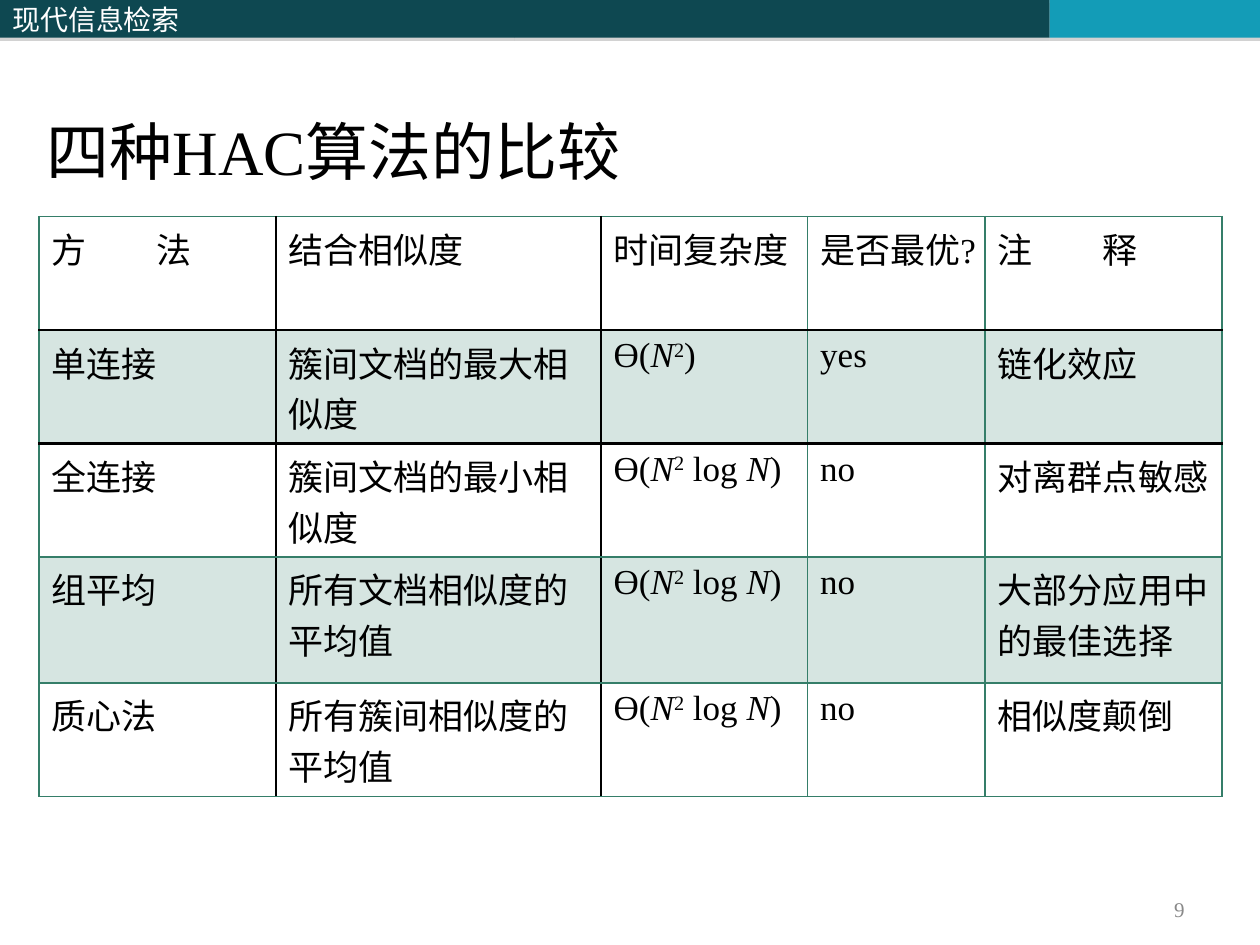
from lxml import etree
from pptx import Presentation
from pptx.dml.color import RGBColor
from pptx.enum import shapes, text
from pptx.oxml import ns
from pptx.util import Inches, Pt

SERIF, SANS = "Times New Roman", "Noto Sans CJK SC"
BLACK, GREEN, TEAL, AQUA = "000000", "357E69", "0E4851", "139CB7"

TITLE = "四种HAC算法的比较"
BARS = [(4.08, TEAL, "现代信息检索"), (4.25, TEAL, ""), (1.67, AQUA, "")]
SQUARE = [("Ɵ(", ""), ("N", "italic"), ("2", "super")]
QUADRATIC = SQUARE + [(")", "")]
QUADRATIC_LOG = SQUARE + [(" log ", ""), ("N", "italic"), (")", "")]
ROWS = [
    ["方　　法", "结合相似度", "时间复杂度", "是否最优?", "注　　释"],
    ["单连接", "簇间文档的最大相似度", QUADRATIC, "yes", "链化效应"],
    ["全连接", "簇间文档的最小相似度", QUADRATIC_LOG, "no", "对离群点敏感"],
    ["组平均", "所有文档相似度的平均值", QUADRATIC_LOG, "no", "大部分应用中的最佳选择"],
    ["质心法", "所有簇间相似度的平均值", QUADRATIC_LOG, "no", "相似度颠倒"],
]
WIDTHS = [1.88, 2.58, 1.64, 1.41, 1.88]
HEIGHTS = [0.9, 0.9, 0.9, 1, 0.9]
DARK_COLUMN_EDGES = DARK_ROW_EDGES = (1, 2)


def color(value):
    return RGBColor.from_string(value)


def add(parent, tag, **attributes):
    return etree.SubElement(parent, ns.qn("a:" + tag), attributes)


def style(para, size, ink, face=SERIF, align=text.PP_ALIGN.LEFT):
    para.alignment = align
    para.font.size = Pt(size)
    para.font.name = face
    para.font.color.rgb = color(ink)


def add_bar(slide, left, width, fill, label):
    bar = slide.shapes.add_shape(shapes.MSO_SHAPE.RECTANGLE, Inches(left), 0,
                                 Inches(width), Inches(0.3))
    bar.fill.solid()
    bar.fill.fore_color.rgb = color(fill)
    bar.line.fill.background()
    bar.shadow.inherit = False
    effects = bar._element.spPr.find(ns.qn("a:effectLst"))
    shadow = add(effects, "outerShdw", dist=str(Pt(1.8)), dir="5400000", rotWithShape="0")
    add(add(shadow, "srgbClr", val="808080"), "alpha", val="35000")
    if label:
        bar.text_frame.text = label
        style(bar.text_frame.paragraphs[0], 16, "FFFFFF", SANS)


def set_borders(cell, row, column):
    edges = [("lnL", column in DARK_COLUMN_EDGES), ("lnR", column + 1 in DARK_COLUMN_EDGES),
             ("lnT", row in DARK_ROW_EDGES), ("lnB", row + 1 in DARK_ROW_EDGES)]
    for tag, dark in edges:
        line = add(cell._tc.get_or_add_tcPr(), tag, w=str(Pt(1.5 if dark else 1)))
        add(add(line, "solidFill"), "srgbClr", val=BLACK if dark else GREEN)


def fill_cell(cell, content, row, column):
    para = cell.text_frame.paragraphs[0]
    style(para, 20, BLACK)
    for words, kind in [(content, "")] if isinstance(content, str) else content:
        span = para.add_run()
        span.text = words
        span.font.size = Pt(20)
        span.font.name = SERIF
        span.font.color.rgb = color(BLACK)
        if kind == "italic":
            span.font.italic = True
        elif kind == "super":
            span.font._element.set("baseline", "30000")
    set_borders(cell, row, column)
    if row % 2:
        cell.fill.solid()
        cell.fill.fore_color.rgb = color(GREEN)
        tint = cell._tc.tcPr.find(ns.qn("a:solidFill"))[0]
        add(tint, "alpha", val="20000")
    else:
        cell.fill.background()


def add_comparison(slide):
    frame = slide.shapes.add_table(len(ROWS), len(WIDTHS), Inches(0.31), Inches(1.72),
                                   Inches(sum(WIDTHS)), Inches(sum(HEIGHTS)))
    table = frame.table
    table.first_row = table.horz_banding = False
    for column, width in zip(table.columns, WIDTHS):
        column.width = Inches(width)
    for r, (contents, height) in enumerate(zip(ROWS, HEIGHTS)):
        table.rows[r].height = Inches(height)
        for c, content in enumerate(contents):
            fill_cell(table.cell(r, c), content, r, c)


def set_title(slide):
    title = slide.shapes.title
    title.left, title.top = Inches(-0.23), Inches(0.01)
    title.width, title.height = Inches(10.23), Inches(1.53)
    frame = title.text_frame
    frame.text = TITLE
    frame.vertical_anchor = text.MSO_ANCHOR.BOTTOM
    frame.auto_size = text.MSO_AUTO_SIZE.NONE
    para = frame.paragraphs[0]
    style(para, 36, BLACK)
    para.space_before = Pt(7)
    properties = para._p.get_or_add_pPr()
    properties.set("marL", str(Inches(0.81)))
    properties.set("indent", str(Inches(-0.31)))


def add_page_number(slide, number):
    box = slide.shapes.add_textbox(Inches(7.17), Inches(7.08), Inches(2.33), Inches(0.27))
    frame = box.text_frame
    frame.word_wrap = True
    frame.vertical_anchor = text.MSO_ANCHOR.MIDDLE
    frame.text = number
    style(frame.paragraphs[0], 12, "898989", align=text.PP_ALIGN.RIGHT)


def main():
    deck = Presentation()
    deck.slide_width, deck.slide_height = Inches(10), Inches(7.5)
    slide = deck.slides.add_slide(deck.slide_layouts[5])
    left = 0
    for width, fill, label in BARS:
        add_bar(slide, left, width, fill, label)
        left += width
    set_title(slide)
    add_page_number(slide, "9")
    add_comparison(slide)
    deck.save("out.pptx")


if __name__ == "__main__":
    main()
